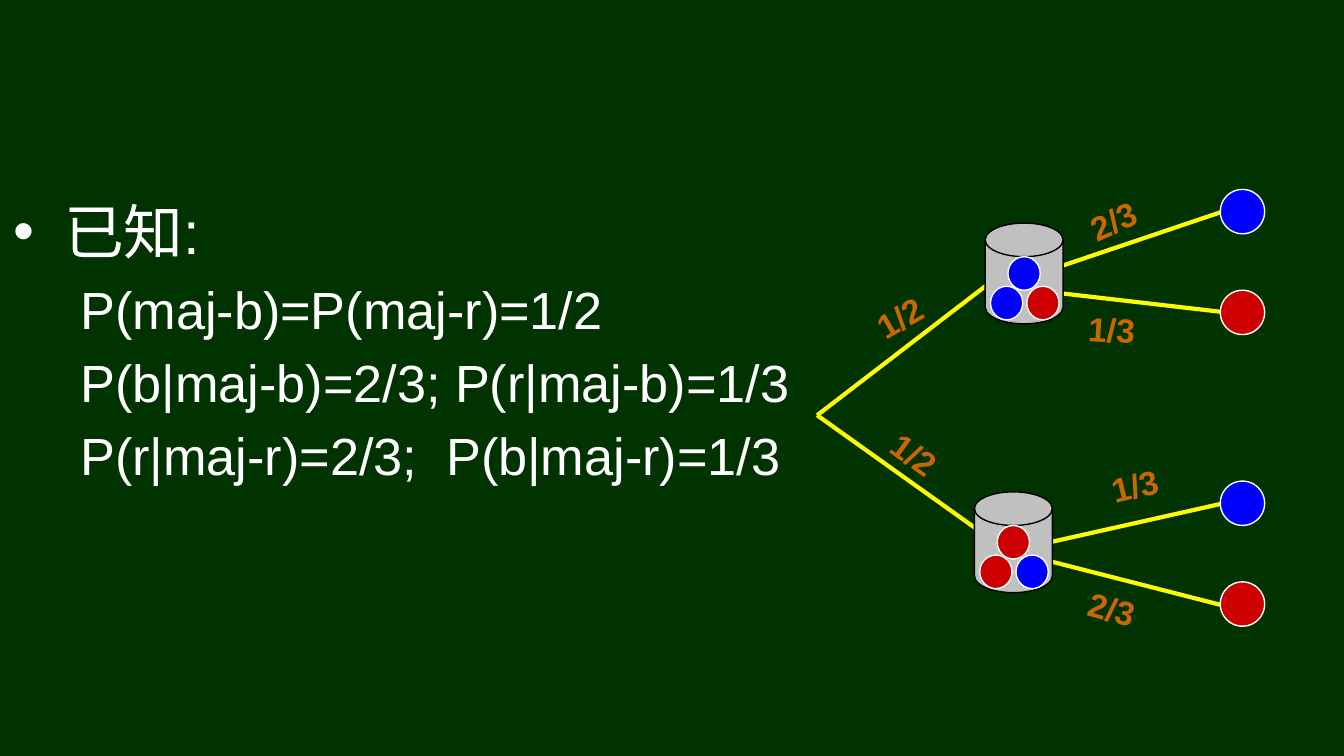
from dataclasses import dataclass
from pptx import Presentation
from pptx.dml.color import RGBColor
from pptx.enum.shapes import MSO_CONNECTOR, MSO_SHAPE
from pptx.enum.text import MSO_AUTO_SIZE
from pptx.oxml.ns import qn
from pptx.util import Inches, Pt
from lxml.etree import SubElement


@dataclass(frozen=True)
class Theme:
    font: str = "Arial"
    background: str = "003300"
    text: str = "FFFFFF"
    branch: str = "FFFF00"
    probability: str = "CC6600"
    urn: str = "C0C0C0"
    urn_edge: str = "000000"
    blue: str = "0000FF"
    red: str = "CC0000"
    heading_size: int = 32
    formula_size: int = 28
    probability_size: int = 18
    branch_width: float = 2.25
    edge_width: float = 0.75


THEME = Theme()

HEADING = "已知:"
FORMULAS = [
    "P(maj-b)=P(maj-r)=1/2",
    "P(b|maj-b)=2/3; P(r|maj-b)=1/3",
    "P(r|maj-r)=2/3;  P(b|maj-r)=1/3",
]
ROOT = (6.08, 3.09)
BRANCHES = [
    (ROOT, (7.5, 2)),
    (ROOT, (7.58, 4.16)),
    ((7.63, 2.07), (9.08, 1.58)),
    ((7.7, 2.16), (9.17, 2.33)),
    ((7.61, 4.08), (9.08, 3.75)),
    ((7.75, 4.16), (9.08, 4.5)),
]
PROBABILITIES = [
    ("1/2", 6.42, 2.16, 329.9),
    ("1/2", 6.53, 3.18, 36.2),
    ("2/3", 8, 4.33, 15.3),
    ("1/3", 8, 2.25, 3.5),
    ("1/3", 8.17, 3.41, 346.2),
    ("2/3", 8.01, 1.44, 336.3),
]
URNS = [
    (7.33, 1.66, (THEME.blue, THEME.red, THEME.blue)),
    (7.25, 3.66, (THEME.red, THEME.blue, THEME.red)),
]
URN_SIZE = (0.58, 0.75)
BALL_SIZE = (0.24, 0.25)
BALL_OFFSETS = [(0.04, 0.47), (0.31, 0.47), (0.17, 0.25)]
OUTCOME_LEFT, OUTCOME_SIZE = 9.08, (0.33, 0.33)
OUTCOMES = [
    (1.41, THEME.blue),
    (2.16, THEME.red),
    (3.58, THEME.blue),
    (4.33, THEME.red),
]


def color(value):
    return RGBColor.from_string(value)


def style_font(font, size, value, bold=False):
    font.name, font.size, font.bold = THEME.font, Pt(size), bold
    font.color.rgb = color(value)


def add_figure(shapes, kind, left, top, size, fill, edge):
    figure = shapes.add_shape(kind, Inches(left), Inches(top), *map(Inches, size))
    figure.shadow.inherit = False
    figure.fill.solid()
    figure.fill.fore_color.rgb = color(fill)
    figure.line.color.rgb = color(edge)
    figure.line.width = Pt(THEME.edge_width)


def add_ball(shapes, left, top, size, fill):
    add_figure(shapes, MSO_SHAPE.OVAL, left, top, size, fill, THEME.text)


def set_bullet(properties, bullet):
    marks = [("a:buNone", {})]
    if bullet:
        marks = [("a:buFont", {"typeface": THEME.font}), ("a:buChar", {"char": bullet})]
    previous = properties.find(qn("a:spcBef"))
    for tag, attributes in marks:
        mark = properties.makeelement(qn(tag), attributes)
        previous.addnext(mark)
        previous = mark


def add_givens(slide):
    box = slide.shapes.add_textbox(Inches(0), Inches(1.4), Inches(9.67), Inches(4.09))
    frame = box.text_frame
    frame.word_wrap = True
    frame.margin_right = 0
    lines = [(HEADING, THEME.heading_size, 0, 0.38, -0.38, "•")]
    lines += [(formula, THEME.formula_size, 1, 0.81, -0.31, None) for formula in FORMULAS]
    for index, (text, size, level, margin, indent, bullet) in enumerate(lines):
        paragraph = frame.add_paragraph() if index else frame.paragraphs[0]
        paragraph.text = text
        paragraph.level = level
        style_font(paragraph.font, size, THEME.text)
        paragraph.space_before = Pt(size * 0.2)
        properties = paragraph._p.get_or_add_pPr()
        properties.set("marL", str(Inches(margin)))
        properties.set("indent", str(Inches(indent)))
        set_bullet(properties, bullet)


def add_branch(slide, start, end):
    branch = slide.shapes.add_connector(
        MSO_CONNECTOR.STRAIGHT, *map(Inches, start), *map(Inches, end))
    branch.line.color.rgb = color(THEME.branch)
    branch.line.width = Pt(THEME.branch_width)
    SubElement(branch._element.spPr, qn("a:effectLst"))


def add_probability(slide, text, left, top, rotation):
    label = slide.shapes.add_textbox(Inches(left), Inches(top), Inches(0.55), Inches(0.4))
    label.rotation = rotation
    frame = label.text_frame
    frame.word_wrap = False
    frame.auto_size = MSO_AUTO_SIZE.SHAPE_TO_FIT_TEXT
    paragraph = frame.paragraphs[0]
    paragraph.text = text
    style_font(paragraph.font, THEME.probability_size, THEME.probability, True)


def add_urn(slide, left, top, balls):
    urn = slide.shapes.add_group_shape().shapes
    add_figure(urn, MSO_SHAPE.FLOWCHART_MAGNETIC_DISK, left, top, URN_SIZE,
               THEME.urn, THEME.urn_edge)
    for (across, down), fill in zip(BALL_OFFSETS, balls):
        add_ball(urn, left + across, top + down, BALL_SIZE, fill)


def main():
    deck = Presentation()
    deck.slide_width = Inches(10)
    deck.slide_height = deck.slide_width * 9 // 16
    slide = deck.slides.add_slide(deck.slide_layouts[6])
    slide.background.fill.solid()
    slide.background.fill.fore_color.rgb = color(THEME.background)
    add_givens(slide)
    for start, end in BRANCHES:
        add_branch(slide, start, end)
    for probability in PROBABILITIES:
        add_probability(slide, *probability)
    for urn in URNS:
        add_urn(slide, *urn)
    for top, fill in OUTCOMES:
        add_ball(slide.shapes, OUTCOME_LEFT, top, OUTCOME_SIZE, fill)
    deck.save("out.pptx")


if __name__ == "__main__":
    main()
